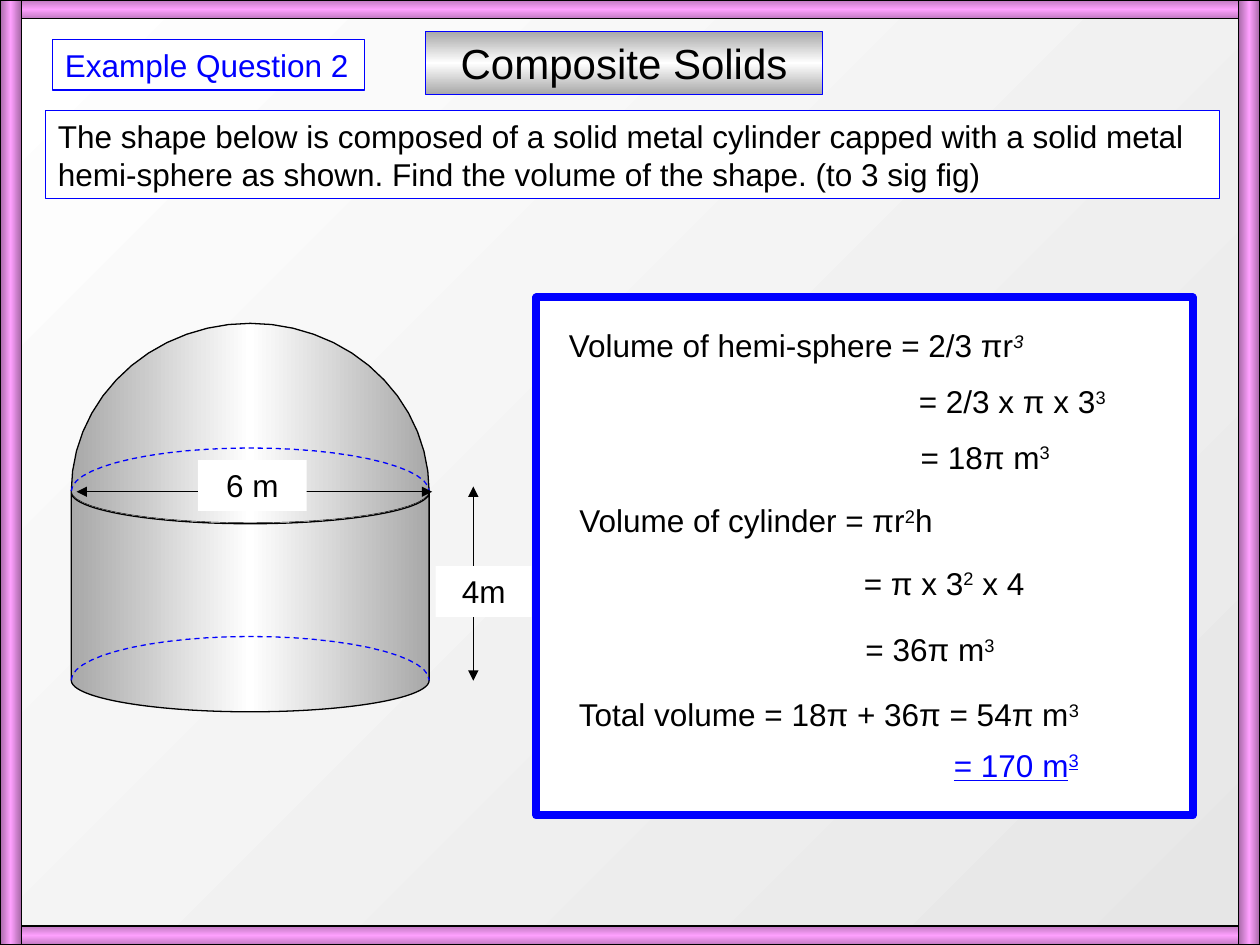
from copy import deepcopy
from dataclasses import dataclass
from math import cos, pi, sin

from pptx import Presentation
from pptx.dml.color import RGBColor as RGB
from pptx.enum import dml, shapes as sh, text as tx
from pptx.oxml import ns, xmlchemy as xc
from pptx.util import Pt


@dataclass(frozen=True)
class Theme:
    font: str = "Arial"
    head: int = 24
    body: int = 18
    black: str = "000000"
    white: str = "FFFFFF"
    blue: str = "0000FF"
    metal: tuple = ("A8A8A8", "FFFFFF", "A8A8A8")
    rail: tuple = ("C079C0", "FEA0FE", "C079C0")
    post: tuple = ("A769A7", "FEA0FE", "A769A7")
    page: tuple = ("E6E6E6", "FFFFFF")


T = Theme()
BOX = sh.MSO_SHAPE.RECTANGLE
W, H = 720, 540


def blend(fill, hues, angle):
    """Set evenly spaced gradient stops on a fill with two stops."""
    fill.gradient_angle = angle
    for i, (stop, hue) in enumerate(zip(fill.gradient_stops, hues)):
        stop.position = i / (len(hues) - 1)
        stop.color.rgb = RGB.from_string(hue)


def paint(shape, fill=None, line=None, width=0.75, angle=0):
    """Fill with one colour or a three-stop gradient, and set the outline."""
    if isinstance(fill, tuple):
        shape.fill.gradient()
        stops = shape.element.spPr.find(".//" + ns.qn("a:gsLst"))
        stops.append(deepcopy(stops[0]))
        blend(shape.fill, fill, angle)
    elif fill:
        shape.fill.solid()
        shape.fill.fore_color.rgb = RGB.from_string(fill)
    if line:
        shape.line.color.rgb = RGB.from_string(line)
        shape.line.width = Pt(width)
    else:
        shape.line.fill.background()


def write(shape, parts, size=T.body, hue=T.black, align="LEFT",
          italic=False, under=False):
    """Write runs; every second part is a superscript."""
    frame = shape.text_frame
    frame.word_wrap = True
    frame.auto_size = tx.MSO_AUTO_SIZE.NONE
    frame.vertical_anchor = tx.MSO_ANCHOR.TOP
    para = frame.paragraphs[0]
    para.alignment = getattr(tx.PP_ALIGN, align)
    para.space_before = Pt(0)
    for i, part in enumerate(parts):
        run = para.add_run()
        run.text = part
        font = run.font
        font.name, font.size = T.font, Pt(size)
        font.color.rgb = RGB.from_string(hue)
        if under:
            font.underline = True
        if i % 2:
            run._r.get_or_add_rPr().set("baseline", "30000")
            if italic:
                font.italic = True


def block(on, at, fill, line=None, width=0.75, angle=0, kind=BOX):
    shape = on.add_shape(kind, *map(Pt, at))
    shape.shadow.inherit = False
    paint(shape, fill, line, width, angle)
    return shape


def label(on, at, parts, **style):
    write(on.add_textbox(*map(Pt, at)), parts, **style)


def arc(on, mid, base, rx, ry, line, width=0.75, dash=False):
    """Draw half an ellipse from left to right; positive ry arches up."""
    steps = 26
    dots = [(Pt(mid - rx * cos(pi * i / steps)),
             Pt(base - ry * sin(pi * i / steps))) for i in range(steps + 1)]
    path = on.build_freeform(*dots[0])
    path.add_line_segments(dots[1:], close=False)
    shape = path.convert_to_shape()
    shape.shadow.inherit = False
    paint(shape, T.metal, line, width)
    if dash:
        shape.line.dash_style = dml.MSO_LINE.DASH


def arrow(on, *ends):
    """Draw a dimension line with a head at both ends."""
    line = on.add_connector(sh.MSO_CONNECTOR.STRAIGHT, *map(Pt, ends))
    line.line.color.rgb = RGB.from_string(T.black)
    line.line.width = Pt(0.75)
    stroke = line.line._get_or_add_ln()
    for tag in ("a:headEnd", "a:tailEnd"):
        stroke.append(xc.OxmlElement(tag))
        stroke[-1].set("type", "triangle")
    line.element.spPr.append(xc.OxmlElement("a:effectLst"))


def solid(on):
    """Draw the cylinder with its dome and rims."""
    mid, rx, top, foot = 143, 102.25, 280.75, 388.75
    block(on, (mid - rx, 263.5, 2 * rx, 143.25), T.metal, T.black,
          kind=sh.MSO_SHAPE.CAN)
    arc(on, mid, top, rx, 96, T.black)
    arc(on, mid, top, rx, 24.75, T.blue, dash=True)
    arc(on, mid, top, rx, -18, T.black, width=0.25)
    arc(on, mid, foot, rx, 25, T.blue, dash=True)


def border(on):
    for y in (0, H - 10.8):
        block(on, (0, y, W, 10.8), T.rail, T.black, angle=90)
    for x in (0, W - 12.25):
        block(on, (x, 0, 12.25, H), T.post, T.black)


def working(on):
    """Lay out the answer panel, one line of working at a time."""
    block(on, (306.5, 170, 375, 296), T.white, T.blue, width=4.5)
    lines = [
        (318, 183, ["Volume of hemi-sphere = 2/3 πr", "3"], {"italic": True}),
        (518, 215, ["= 2/3 x π x 3", "3"], {}),
        (519, 246.5, ["= 18π m", "3"], {}),
        (324, 283, ["Volume of cylinder = πr", "2", "h"], {}),
        (486.5, 318.5, ["= π x 3", "2", " x 4"], {}),
        (487.5, 356.5, ["= 36π m", "3"], {}),
        (323.75, 393.75, ["Total volume = 18π + 36π = 54π m", "3"], {}),
        (538, 422.5, ["= 170 m", "3"], {"hue": T.blue, "under": True}),
    ]
    for x, y, parts, style in lines:
        label(on, (x, y, 676 - x, 29), parts, **style)


def main():
    deck = Presentation()
    deck.slide_width, deck.slide_height = Pt(W), Pt(H)
    slide = deck.slides.add_slide(deck.slide_layouts[5])
    on = slide.shapes

    # Background
    back = slide.background.fill
    back.gradient()
    blend(back, T.page, 135)

    # Title
    title = on.title
    title.left, title.top, title.width, title.height = map(
        Pt, (243.25, 18, 226.75, 36))
    paint(title, T.metal, T.blue, angle=90)
    write(title, ["Composite Solids"], size=T.head, align="CENTER")

    # Solid and frame
    solid(on.add_group_shape().shapes)
    border(on)

    # Question
    ask = block(on, (26, 63.25, 671, 50.25), T.white, T.blue)
    write(ask, ["The shape below is composed of a solid metal cylinder capped "
                "with a solid metal hemi-sphere as shown. Find the volume of "
                "the shape. (to 3 sig fig)"])
    tag = block(on, (30, 22.5, 178.5, 29), T.white, T.blue)
    write(tag, ["Example Question 2"], hue=T.blue)

    # Answer
    working(on)

    # Dimensions
    arrow(on, 43.75, 281, 247, 281)
    arrow(on, 270.5, 278, 270.5, 389)
    for at, size in (((113.25, 263, 62, 29), "6 m"),
                     ((249, 323.5, 54.75, 29), "4m")):
        write(block(on, at, T.white), [size], align="CENTER")

    deck.save("out.pptx")


if __name__ == "__main__":
    main()
